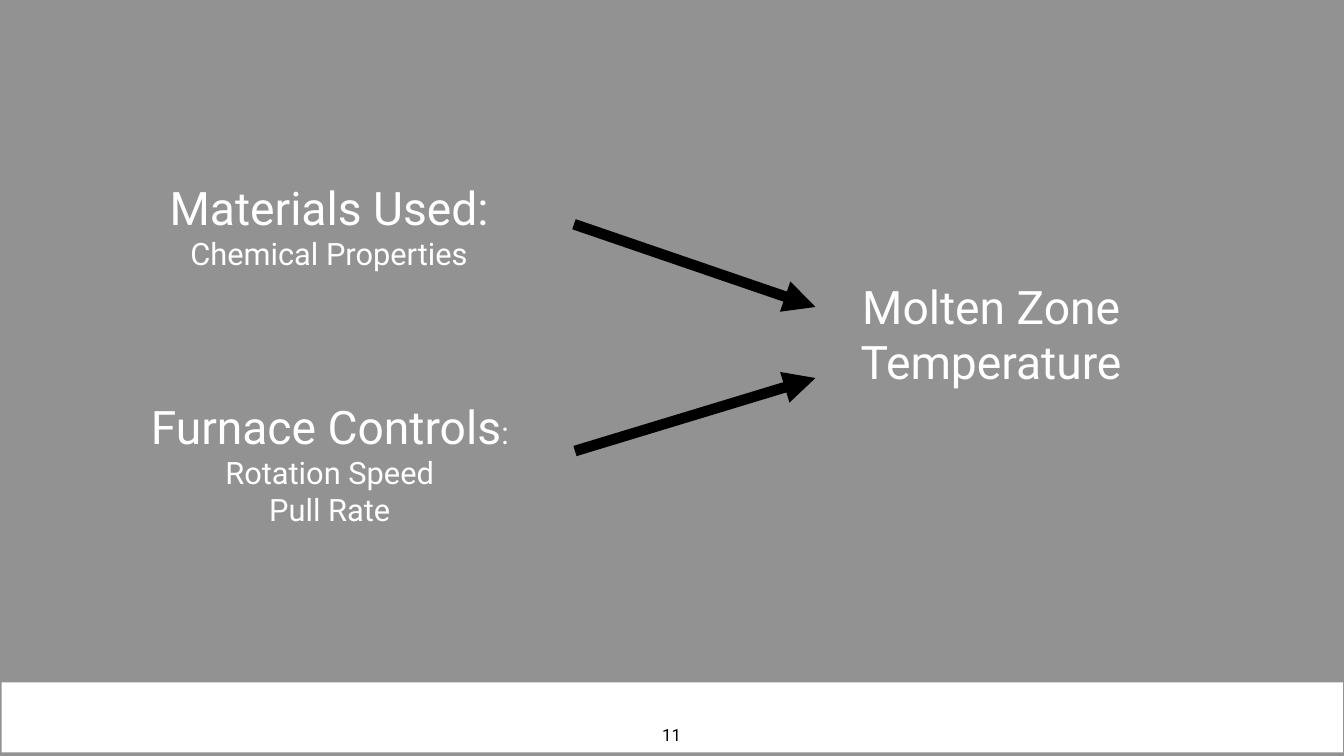
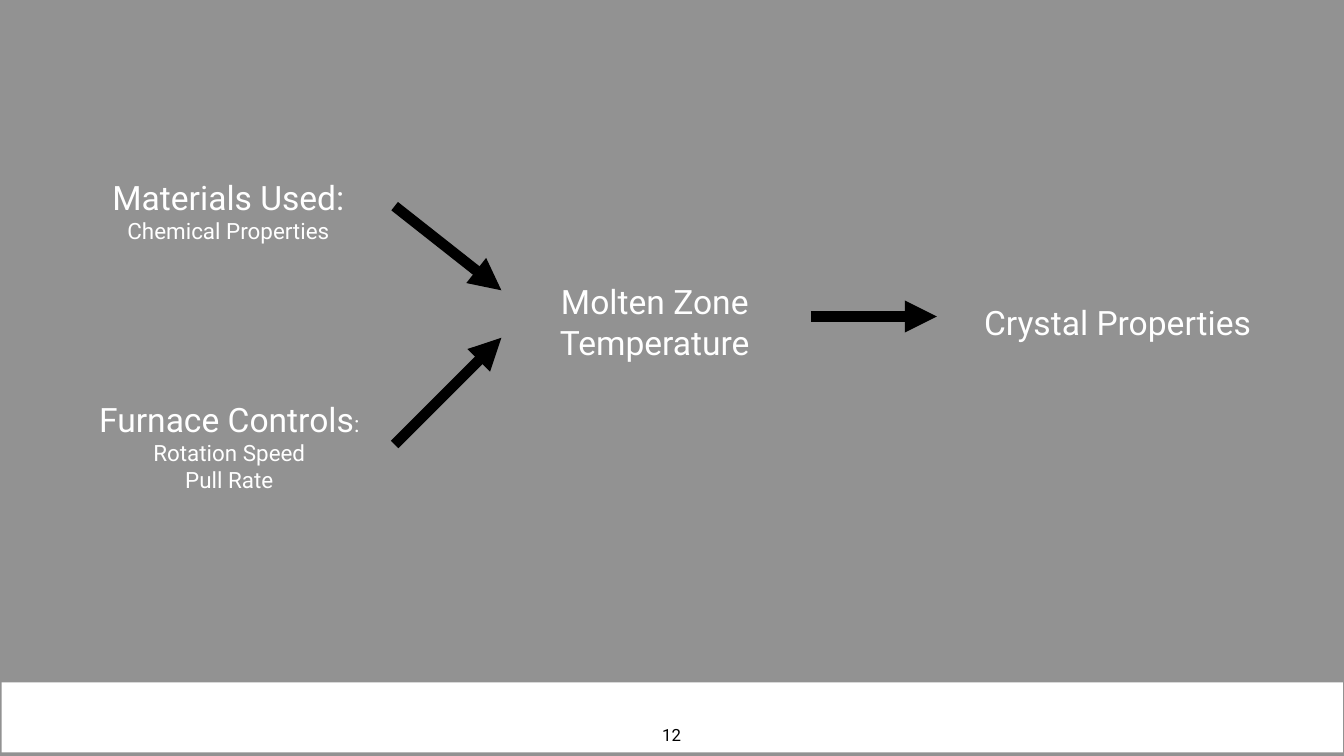
from dataclasses import dataclass

from lxml import etree
from pptx import Presentation
from pptx import util as u
from pptx.dml.color import RGBColor
from pptx.enum import shapes, text
from pptx.oxml import ns
from pptx.slide import Slide


@dataclass(frozen=True)
class Theme:
    font: str = "Roboto"
    backdrop: RGBColor = RGBColor(0x92, 0x92, 0x92)
    light: RGBColor = RGBColor(0xFF, 0xFF, 0xFF)
    dark: RGBColor = RGBColor(0, 0, 0)
    number_size: float = 24
    arrow_width: float = 15.25


@dataclass(frozen=True)
class Frame:
    """A rectangle in centimetres."""
    left: float
    top: float
    width: float
    height: float

    def lengths(self) -> tuple[u.Cm, ...]:
        return tuple(u.Cm(n) for n in (self.left, self.top, self.width, self.height))


@dataclass(frozen=True)
class Label:
    """A heading, its smaller ending, and the detail lines below it."""
    heading: str
    ending: str = ""
    details: tuple[str, ...] = ()


@dataclass(frozen=True)
class Arrow:
    """Start and end points in centimetres."""
    start: tuple[float, float]
    end: tuple[float, float]


@dataclass(frozen=True)
class Diagram:
    number: int
    heading_size: float
    detail_size: float
    labels: tuple[tuple[Label, Frame], ...]
    arrows: tuple[Arrow, ...]


THEME = Theme()
BAND = Frame(0.08, 34.39, 67.61, 3.53)
NUMBER = Frame(33.22, 36.35, 1.27, 1.27)
NUMBER_INSET = 0.15

MATERIALS = Label("Materials Used:", details=("Chemical Properties",))
CONTROLS = Label("Furnace Controls", ":", ("Rotation Speed", "Pull Rate"))
MOLTEN_ZONE = Label("Molten Zone Temperature")
CRYSTAL = Label("Crystal Properties")

DIAGRAMS = (
    Diagram(
        11, 66, 44,
        labels=(
            (MOLTEN_ZONE, Frame(40.03, 14, 19.86, 5.64)),
            (MATERIALS, Frame(5.51, 8.71, 22.17, 5.33)),
            (CONTROLS, Frame(5.54, 19.63, 22.17, 7.37)),
        ),
        arrows=(
            Arrow((28.93, 11.3), (41.1, 15.47)),
            Arrow((28.98, 22.73), (41.1, 19.05)),
        ),
    ),
    Diagram(
        12, 48, 32,
        labels=(
            (MOLTEN_ZONE, Frame(26.16, 13.92, 13.69, 4.57)),
            (MATERIALS, Frame(4.01, 8.69, 15.01, 3.81)),
            (CONTROLS, Frame(4.09, 19.94, 14.94, 5.08)),
            (CRYSTAL, Frame(48.26, 14.94, 16.15, 2.54)),
        ),
        arrows=(
            Arrow((19.89, 10.39), (25.27, 14.63)),
            Arrow((19.89, 22.4), (25.27, 17.02)),
            Arrow((40.87, 15.95), (47.22, 15.95)),
        ),
    ),
)


def add_text(page: Slide, frame: Frame, lines: list[list[tuple[str, float]]],
             color: RGBColor, inset: float = 0, wrap: bool = True,
             anchor: text.MSO_ANCHOR = text.MSO_ANCHOR.MIDDLE) -> None:
    """Add centred lines, each a list of (words, point size) pairs."""
    body = page.shapes.add_textbox(*frame.lengths()).text_frame
    body.word_wrap = wrap
    body.auto_size = text.MSO_AUTO_SIZE.SHAPE_TO_FIT_TEXT
    body.vertical_anchor = anchor
    body.margin_left = body.margin_right = u.Cm(inset)
    body.margin_top = body.margin_bottom = u.Cm(inset)
    for index, line in enumerate(lines):
        para = body.add_paragraph() if index else body.paragraphs[0]
        para.alignment = text.PP_ALIGN.CENTER
        for words, size in line:
            span = para.add_run()
            span.text = words
            span.font.name = THEME.font
            span.font.size = u.Pt(size)
            span.font.color.rgb = color


def add_label(page: Slide, label: Label, frame: Frame, diagram: Diagram) -> None:
    first = [(label.heading, diagram.heading_size)]
    if label.ending:
        first.append((label.ending, diagram.detail_size))
    details = [[(detail, diagram.detail_size)] for detail in label.details]
    add_text(page, frame, [first, *details], THEME.light)


def add_arrow(page: Slide, arrow: Arrow) -> None:
    points = (u.Cm(n) for n in arrow.start + arrow.end)
    line = page.shapes.add_connector(shapes.MSO_CONNECTOR.STRAIGHT, *points)
    line.line.color.rgb = THEME.dark
    line.line.width = u.Pt(THEME.arrow_width)
    etree.SubElement(line.line._get_or_add_ln(), ns.qn("a:tailEnd"), type="triangle")
    etree.SubElement(line._element.spPr, ns.qn("a:effectLst"))


def add_footer(page: Slide, number: int) -> None:
    band = page.shapes.add_shape(shapes.MSO_SHAPE.RECTANGLE, *BAND.lengths())
    band.shadow.inherit = False
    band.fill.solid()
    band.fill.fore_color.rgb = THEME.light
    band.line.fill.background()
    add_text(page, NUMBER, [[(str(number), THEME.number_size)]], THEME.dark,
             NUMBER_INSET, wrap=False, anchor=text.MSO_ANCHOR.TOP)


def main() -> None:
    deck = Presentation()
    deck.slide_width, deck.slide_height = u.Cm(67.74), u.Cm(38.1)
    backdrop = deck.slide_master.background.fill
    backdrop.solid()
    backdrop.fore_color.rgb = THEME.backdrop
    for diagram in DIAGRAMS:
        page = deck.slides.add_slide(deck.slide_layouts[6])
        add_footer(page, diagram.number)
        for label, frame in diagram.labels:
            add_label(page, label, frame, diagram)
        for arrow in diagram.arrows:
            add_arrow(page, arrow)
    deck.save("out.pptx")


if __name__ == "__main__":
    main()
